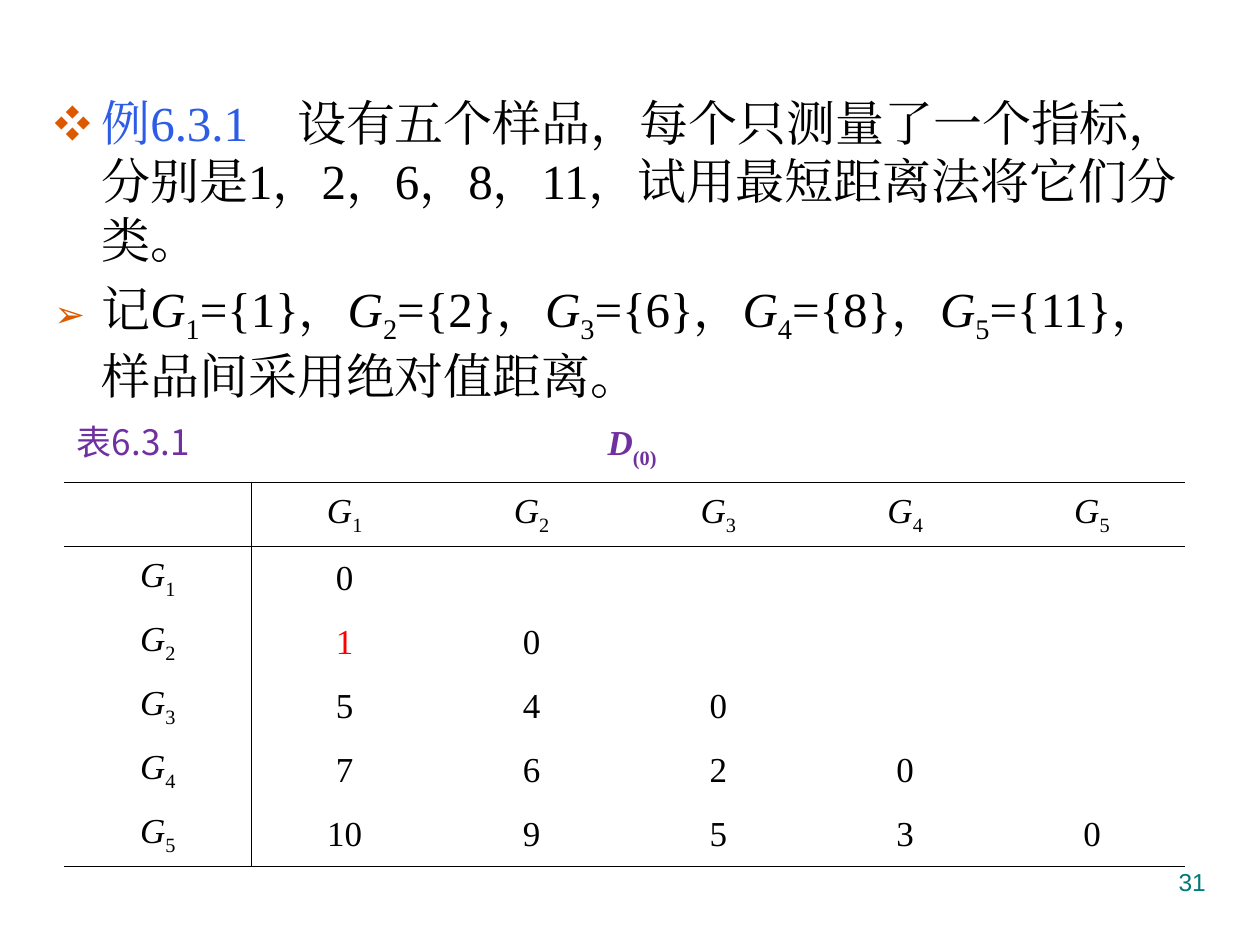
import pptx
import pptx.util
import pptx.dml.color
import pptx.enum.text
import pptx.oxml
import pptx.oxml.ns
import lxml.etree

Cm, Pt = pptx.util.Cm, pptx.util.Pt
Rgb = pptx.dml.color.RGBColor.from_string
Align = pptx.enum.text.PP_ALIGN
Mid = pptx.enum.text.MSO_ANCHOR.MIDDLE
qn = pptx.oxml.ns.qn

theme = {
    "ink": "000000", "blue": "2D5CE7", "mark": "DC5900", "red": "FF0000",
    "label": "7030A0", "page": "007A77",
    "serif": "Times New Roman", "sans": "Noto Sans CJK SC", "plain": "Arial",
    "body": 28, "cell": 20, "foot": 14,
}


def group(num):
    return [("G", {"italic": True}), (str(num), {"base": -25})]


nums = [1, 2, 3, 4, 5]
vals = [1, 2, 6, 8, 11]

given = [
    ("例6.3.1　", {"color": "blue"}),
    ("设有五个样品，每个只测量了一个指标，分别是1，2，6，8，11，试用最短距离法将它们分类。", {}),
]
sets = [("记", {})]
for num, val in zip(nums, vals):
    tail = "样品间采用绝对值距离。" if num == nums[-1] else ""
    sets += group(num) + [("={%d}，%s" % (val, tail), {})]
points = [("❖", given), ("➢", sets)]

title = [
    ("表6.3.1\t", {"name": "sans"}),
    ("D", {"bold": True, "italic": True}),
    ("(0)", {"bold": True, "base": -30}),
]
dists = [[0], [1, 0], [5, 4, 0], [7, 6, 2, 0], [10, 9, 5, 3, 0]]
near = (2, 1)

places = {
    "body": (0.84, 1.73, 23.72, 15.21),
    "table": (1.3, 9.73, 22.6, 7.74),
    "title": (1.3, 8.41, 13, 1.12),
    "page": (18.21, 17.35, 6.35, 1.32),
}


def place(key):
    return [Cm(num) for num in places[key]]


def put(thing, values):
    for key, val in values.items():
        setattr(thing, key, val)


def add(node, tag, **attrs):
    child = lxml.etree.SubElement(node, qn(tag))
    for key, val in attrs.items():
        child.set(key, str(val))
    return child


def write(para, runs, size, color="ink", name="serif"):
    for text, style in runs:
        run = para.add_run()
        run.text = text
        face = theme[style.get("name", name)]
        put(run.font, {
            "size": Pt(theme[size]),
            "name": face,
            "bold": style.get("bold", False),
            "italic": style.get("italic", False),
        })
        run.font.color.rgb = Rgb(theme[style.get("color", color)])
        props = run._r.get_or_add_rPr()
        add(props, "a:ea", typeface=face)
        if "base" in style:
            props.set("baseline", str(style["base"] * 1000))


def bullet(para, mark):
    props = para._p.get_or_add_pPr()
    props.set("marL", str(Cm(0.95)))
    props.set("indent", str(-Cm(0.95)))
    add(add(props, "a:buClr"), "a:srgbClr", val=theme["mark"])
    add(props, "a:buSzPct", val=75000)
    add(props, "a:buFont", typeface=theme["sans"])
    add(props, "a:buChar", char=mark)


def edge(cell, sides):
    props = cell._tc.get_or_add_tcPr()
    for side in "LRTB":
        line = add(props, "a:ln" + side, w=Pt(1))
        if side in sides:
            add(add(line, "a:solidFill"), "a:srgbClr", val=theme["ink"])
        else:
            add(line, "a:noFill")
    cell.fill.background()


def box(slide, key):
    frame = slide.shapes.add_textbox(*place(key)).text_frame
    frame.word_wrap = True
    return frame


def add_body(slide):
    body = slide.placeholders[1]
    put(body, dict(zip(("left", "top", "width", "height"), place("body"))))
    frame = body.text_frame
    frame.auto_size = pptx.enum.text.MSO_AUTO_SIZE.NONE
    for row, (mark, runs) in enumerate(points):
        para = frame.add_paragraph() if row else frame.paragraphs[0]
        para.space_before = Pt(5.6)
        bullet(para, mark)
        write(para, runs, "body")


def add_grid(slide):
    size = len(nums) + 1
    grid = slide.shapes.add_table(size, size, *place("table")).table
    put(grid, {"first_row": False, "horz_banding": False})
    for row in range(size):
        for col in range(size):
            cell = grid.cell(row, col)
            put(cell, {
                "vertical_anchor": Mid,
                "margin_left": Cm(0.2), "margin_right": Cm(0.2),
                "margin_top": 0, "margin_bottom": 0,
            })
            sides = "T" if row < 2 else ""
            sides += "B" if row in (0, size - 1) else ""
            sides += {0: "R", 1: "L"}.get(col, "")
            edge(cell, sides)
            if row and col:
                tint = "red" if (row, col) == near else "ink"
                runs = [(str(dists[row - 1][col - 1]), {"color": tint})] if col <= row else []
            else:
                runs = group(row + col) if row + col else []
            para = cell.text_frame.paragraphs[0]
            para.alignment = Align.CENTER
            write(para, runs, "cell")


def add_title(slide):
    frame = box(slide, "title")
    frame.vertical_anchor = Mid
    para = frame.paragraphs[0]
    tabs = add(para._p.get_or_add_pPr(), "a:tabLst")
    add(tabs, "a:tab", pos=Cm(10.7), algn="l")
    write(para, title, "cell", "label")


def add_page(slide):
    para = box(slide, "page").paragraphs[0]
    para.alignment = Align.RIGHT
    write(para, [("31", {})], "foot", "page", "plain")


def main():
    deck = pptx.Presentation()
    put(deck, {"slide_width": Cm(25.4), "slide_height": Cm(19.05)})
    slide = deck.slides.add_slide(deck.slide_layouts[1])
    head = slide.shapes.title.element
    head.getparent().remove(head)
    add_body(slide)
    add_grid(slide)
    add_title(slide)
    add_page(slide)
    deck.save("out.pptx")


if __name__ == "__main__":
    main()
